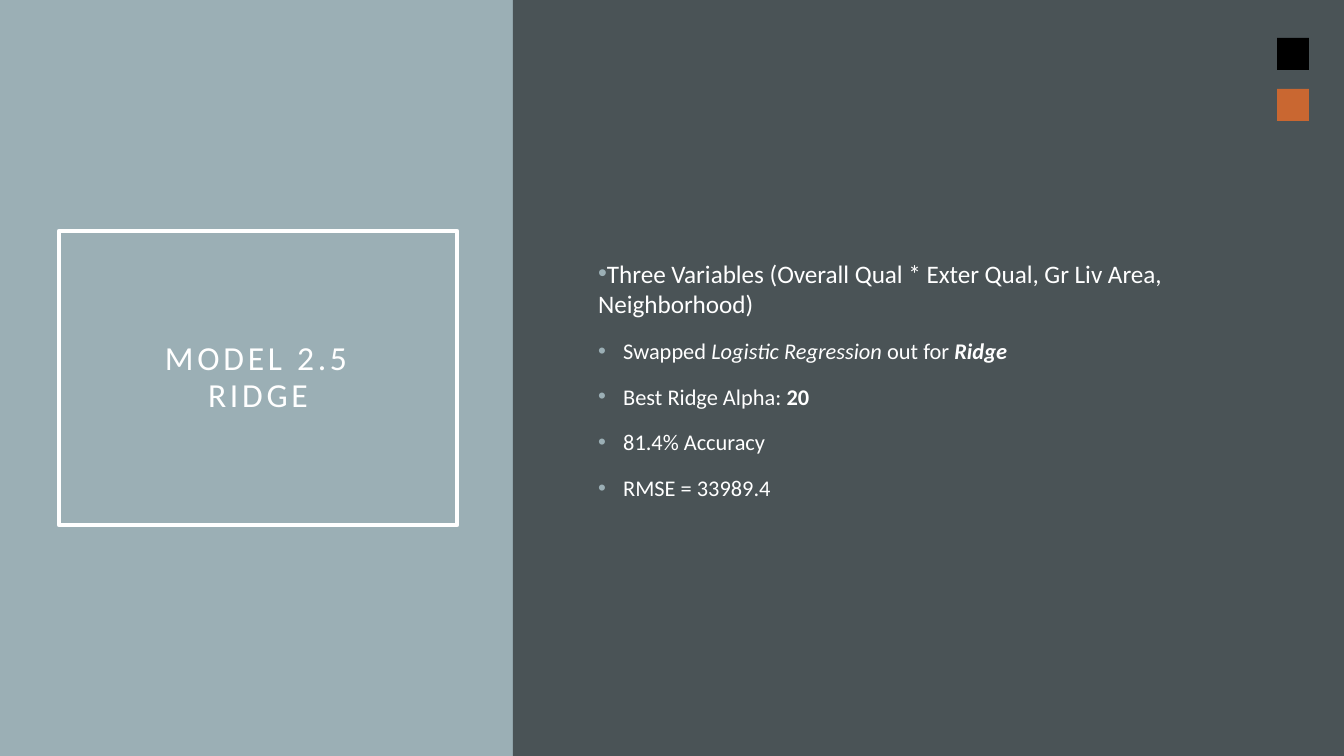
import copy
import dataclasses
import typing

import pptx
import pptx.dml.color
import pptx.enum.shapes
import pptx.enum.text
import pptx.oxml
import pptx.oxml.ns
import pptx.util

SLIDE_WIDTH, SLIDE_HEIGHT = 1344, 756
EMU_PER_PX = pptx.util.Inches(10) / SLIDE_WIDTH


@dataclasses.dataclass(frozen=True)
class Theme:
    """Colours, font and type sizes of the slide."""

    dark: str = "4A5356"
    mist: str = "9BAFB5"
    white: str = "FFFFFF"
    black: str = "000000"
    orange: str = "C96731"
    font: str = "Calibri"
    title_size: float = 18
    lead_size: float = 13.5
    detail_size: float = 12
    bullet_gap: float = 10
    frame_width: float = 2.5


THEME = Theme()


class Box(typing.NamedTuple):
    """A rectangle in px."""

    left: int
    top: int
    width: int
    height: int


class Block(typing.NamedTuple):
    """A filled rectangle."""

    box: Box
    color: str


class Span(typing.NamedTuple):
    """A piece of text with its emphasis."""

    text: str
    bold: bool = False
    italic: bool = False


class Bullet(typing.NamedTuple):
    """A bulleted paragraph with its level and hanging indent in px."""

    spans: tuple[Span, ...]
    size: float = THEME.detail_size
    level: int = 1
    indent: int = 25


PANEL_SPLIT = 513
TITLE_BOX = Box(59, 231, 398, 294)
TITLE_INSET = 27
BODY_BOX = Box(585, 108, 642, 543)
LEFT_PANEL = Block(Box(0, 0, PANEL_SPLIT, SLIDE_HEIGHT), THEME.mist)
RIGHT_PANEL = Block(Box(PANEL_SPLIT, 0, SLIDE_WIDTH - PANEL_SPLIT, SLIDE_HEIGHT), THEME.dark)
ACCENTS = [
    Block(Box(1277, 38 + 51 * index, 32, 32), color)
    for index, color in enumerate((THEME.black, THEME.orange))
]
BULLETS = (
    Bullet(
        (Span("Three Variables (Overall Qual * Exter Qual, Gr Liv Area, Neighborhood)"),),
        THEME.lead_size, 0, 0,
    ),
    Bullet((
        Span("Swapped "),
        Span("Logistic Regression ", italic=True),
        Span("out for "),
        Span("Ridge", bold=True, italic=True),
    )),
    Bullet((Span("Best Ridge Alpha: "), Span("20", bold=True))),
    Bullet((Span("81.4% Accuracy"),)),
    Bullet((Span("RMSE = 33989.4"),)),
)


def px(length: int) -> int:
    """Turn px into EMU."""
    return round(length * EMU_PER_PX)


def rgb(color: str) -> pptx.dml.color.RGBColor:
    """Turn a hex string into a colour."""
    return pptx.dml.color.RGBColor.from_string(color)


def style_run(run, size: float, bold: bool = False, italic: bool = False) -> None:
    """Format a run in the slide's white type."""
    run.font.name = THEME.font
    run.font.size = pptx.util.Pt(size)
    run.font.bold = bold
    run.font.italic = italic
    run.font.color.rgb = rgb(THEME.white)


def draw_block(slide, block: Block) -> None:
    """Draw a filled rectangle without an outline."""
    shape = slide.shapes.add_shape(
        pptx.enum.shapes.MSO_SHAPE.RECTANGLE, *map(px, block.box)
    )
    shape.shadow.inherit = False
    shape.fill.solid()
    shape.fill.fore_color.rgb = rgb(block.color)
    shape.line.fill.background()


def draw_title(slide, text: str) -> None:
    """Place the framed title in front of the shapes drawn so far."""
    title = slide.shapes.title
    slide.shapes._spTree.append(title._element)
    title.left, title.top, title.width, title.height = map(px, TITLE_BOX)
    title.fill.background()
    title.line.color.rgb = rgb(THEME.white)
    title.line.width = pptx.util.Pt(THEME.frame_width)
    frame = title.text_frame
    frame.text = text
    frame.word_wrap = True
    frame.auto_size = pptx.enum.text.MSO_AUTO_SIZE.NONE
    frame.vertical_anchor = pptx.enum.text.MSO_ANCHOR.MIDDLE
    frame.margin_left = frame.margin_right = px(TITLE_INSET)
    frame.margin_top = frame.margin_bottom = px(TITLE_INSET)
    paragraph = frame.paragraphs[0]
    paragraph.alignment = pptx.enum.text.PP_ALIGN.CENTER
    paragraph.line_spacing = 0.9
    for run in paragraph.runs:
        style_run(run, THEME.title_size)
        run.font._element.set("spc", "200")
    for line_break in paragraph._p.findall(pptx.oxml.ns.qn("a:br")):
        line_break.insert(0, copy.deepcopy(paragraph.runs[0].font._element))


def add_bullet_mark(paragraph, indent: int) -> None:
    """Give a paragraph a coloured bullet and a hanging indent."""
    properties = paragraph._p.get_or_add_pPr()
    properties.set("marL", str(px(indent)))
    properties.set("indent", str(-px(indent)))
    namespace = pptx.oxml.ns.nsdecls("a")
    for xml in (
        f'<a:buClr {namespace}><a:srgbClr val="{THEME.mist}"/></a:buClr>',
        f'<a:buFont {namespace} typeface="Arial"/>',
        f'<a:buChar {namespace} char="•"/>',
    ):
        properties.append(pptx.oxml.parse_xml(xml))


def draw_bullets(slide, box: Box, bullets: tuple[Bullet, ...]) -> None:
    """Draw the bulleted text, centred vertically in its box."""
    frame = slide.shapes.add_textbox(*map(px, box)).text_frame
    frame.word_wrap = True
    frame.vertical_anchor = pptx.enum.text.MSO_ANCHOR.MIDDLE
    for index, bullet in enumerate(bullets):
        paragraph = frame.add_paragraph() if index else frame.paragraphs[0]
        paragraph.level = bullet.level
        paragraph.space_before = pptx.util.Pt(THEME.bullet_gap)
        add_bullet_mark(paragraph, bullet.indent)
        for span in bullet.spans:
            run = paragraph.add_run()
            run.text = span.text
            style_run(run, bullet.size, span.bold, span.italic)


def main() -> None:
    """Build and save the slide."""
    presentation = pptx.Presentation()
    presentation.slide_width = px(SLIDE_WIDTH)
    presentation.slide_height = px(SLIDE_HEIGHT)
    slide = presentation.slides.add_slide(presentation.slide_layouts.get_by_name("Title Only"))
    slide.background.fill.solid()
    slide.background.fill.fore_color.rgb = rgb(THEME.dark)
    draw_block(slide, LEFT_PANEL)
    draw_title(slide, "MODEL 2.5\vRIDGE")
    draw_block(slide, RIGHT_PANEL)
    draw_bullets(slide, BODY_BOX, BULLETS)
    for accent in ACCENTS:
        draw_block(slide, accent)
    presentation.save("out.pptx")


if __name__ == "__main__":
    main()
